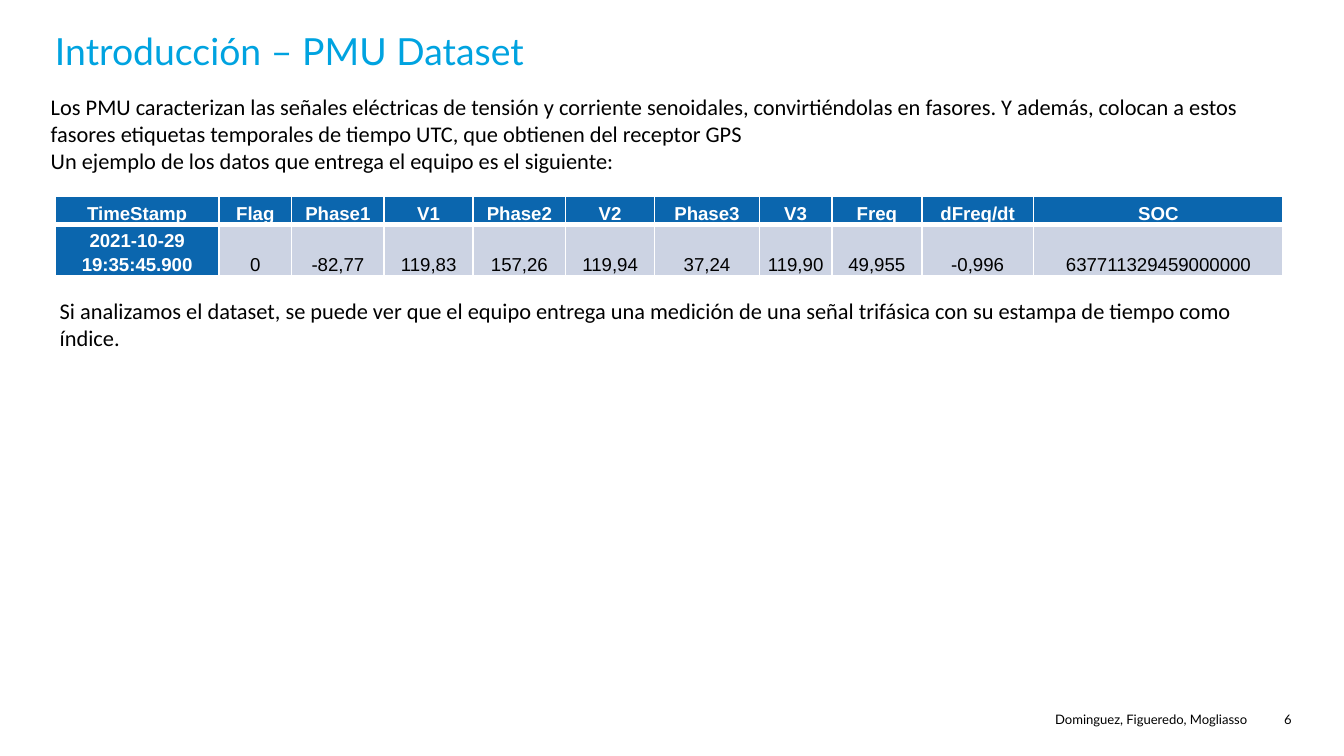
from dataclasses import dataclass

from lxml.etree import SubElement
from pptx import Presentation
from pptx.dml.color import RGBColor
from pptx.enum.text import MSO_ANCHOR as Anchor, PP_ALIGN as Align
from pptx.oxml.ns import qn
from pptx.util import Cm, Pt

COLORS = {
    "title": "00A3E0",
    "text": "000000",
    "header": "0B66AE",
    "data": "CCD3E3",
    "white": "FFFFFF",
}


@dataclass
class TextBlock:
    left: float
    top: float
    width: float
    height: float
    paragraphs: list[str]
    size: float
    font: str = "Lato"
    color: str = "text"
    align: Align = Align.LEFT
    margins: tuple[float, float] = (0, 0)


@dataclass
class Column:
    width: float
    header: str
    value: str


BODY = {"size": 12, "font": "Calibri", "margins": (0.25, 0.13)}
FOOTER = {"size": 7, "align": Align.RIGHT}

TEXT_BLOCKS = [
    TextBlock(1.04, 0.53, 23.42, 1.57, ["Introducción – PMU Dataset"], size=20, color="title"),
    TextBlock(23.6, 13.44, 0.81, 0.36, ["6"], **FOOTER),
    TextBlock(15.52, 13.44, 8.05, 0.38, ["Dominguez, Figueredo, Mogliasso"], **FOOTER),
    TextBlock(0.71, 1.63, 23.11, 1.8, [
        "Los PMU caracterizan las señales eléctricas de tensión y corriente senoidales, "
        "convirtiéndolas en fasores. Y además, colocan a estos fasores etiquetas temporales "
        "de tiempo UTC, que obtienen del receptor GPS",
        "Un ejemplo de los datos que entrega el equipo es el siguiente:",
    ], **BODY),
    TextBlock(0.88, 5.49, 23.11, 1.27, [
        "Si analizamos el dataset, se puede ver que el equipo entrega una medición de una "
        "señal trifásica con su estampa de tiempo como índice.",
    ], **BODY),
]

COLUMNS = [
    Column(3.1, "TimeStamp", "2021-10-29 19:35:45.900"),
    Column(1.37, "Flag", "0"),
    Column(1.75, "Phase1", "-82,77"),
    Column(1.68, "V1", "119,83"),
    Column(1.75, "Phase2", "157,26"),
    Column(1.68, "V2", "119,94"),
    Column(1.98, "Phase3", "37,24"),
    Column(1.37, "V3", "119,90"),
    Column(1.7, "Freq", "49,955"),
    Column(2.11, "dFreq/dt", "-0,996"),
    Column(4.72, "SOC", "637711329459000000"),
]
ROW_HEIGHTS = [0.53, 0.93]


def write_text(paragraph, text: str, *, size: float, font: str, color: str,
               align: Align, bold: bool = False) -> None:
    paragraph.alignment = align
    run = paragraph.add_run()
    run.text = text
    run.font.size = Pt(size)
    run.font.name = font
    run.font.bold = bold
    run.font.color.rgb = RGBColor.from_string(COLORS[color])


def add_text_block(slide, block: TextBlock) -> None:
    shape = slide.shapes.add_textbox(
        Cm(block.left), Cm(block.top), Cm(block.width), Cm(block.height))
    frame = shape.text_frame
    frame.word_wrap = True
    horizontal, vertical = block.margins
    frame.margin_left = frame.margin_right = Cm(horizontal)
    frame.margin_top = frame.margin_bottom = Cm(vertical)
    for index, text in enumerate(block.paragraphs):
        paragraph = frame.add_paragraph() if index else frame.paragraphs[0]
        write_text(paragraph, text, size=block.size, font=block.font,
                   color=block.color, align=block.align)


def add_borders(cell, widths: dict[str, float]) -> None:
    """Draw white cell borders; must run before the cell gets its fill."""
    properties = cell._tc.get_or_add_tcPr()
    for side, width in widths.items():
        line = SubElement(properties, qn(f"a:ln{side}"), w=str(Pt(width)))
        fill = SubElement(line, qn("a:solidFill"))
        SubElement(fill, qn("a:srgbClr"), val=COLORS["white"])


def format_cell(cell, text: str, is_header_row: bool, is_index: bool) -> None:
    is_header = is_header_row or is_index
    thick_side = "B" if is_header_row else "T"
    add_borders(cell, {side: 3 if side == thick_side else 1 for side in "LRTB"})
    cell.fill.solid()
    cell.fill.fore_color.rgb = RGBColor.from_string(COLORS["header" if is_header else "data"])
    cell.vertical_anchor = Anchor.BOTTOM
    cell.margin_left = cell.margin_right = Cm(0.13)
    cell.margin_top = cell.margin_bottom = 0
    paragraph = cell.text_frame.paragraphs[0]
    paragraph.line_spacing = 1.15
    write_text(paragraph, text, size=10, font="Arial", align=Align.CENTER,
               color="white" if is_header else "text", bold=is_header)


def add_sample_table(slide, left: float, top: float) -> None:
    total_width = sum(column.width for column in COLUMNS)
    table = slide.shapes.add_table(
        len(ROW_HEIGHTS), len(COLUMNS), Cm(left), Cm(top),
        Cm(total_width), Cm(sum(ROW_HEIGHTS))).table
    table.first_col = True
    table.horz_banding = False
    for row, height in zip(table.rows, ROW_HEIGHTS):
        row.height = Cm(height)
    for index, column in enumerate(COLUMNS):
        table.columns[index].width = Cm(column.width)
        for row_index, text in enumerate((column.header, column.value)):
            format_cell(table.cell(row_index, index), text,
                        is_header_row=row_index == 0, is_index=index == 0)


def main() -> None:
    presentation = Presentation()
    presentation.slide_width = Cm(25.4)
    presentation.slide_height = Cm(14.29)
    slide = presentation.slides.add_slide(presentation.slide_layouts[6])
    for block in TEXT_BLOCKS:
        add_text_block(slide, block)
    add_sample_table(slide, left=1.04, top=3.71)
    presentation.save("out.pptx")


if __name__ == "__main__":
    main()
